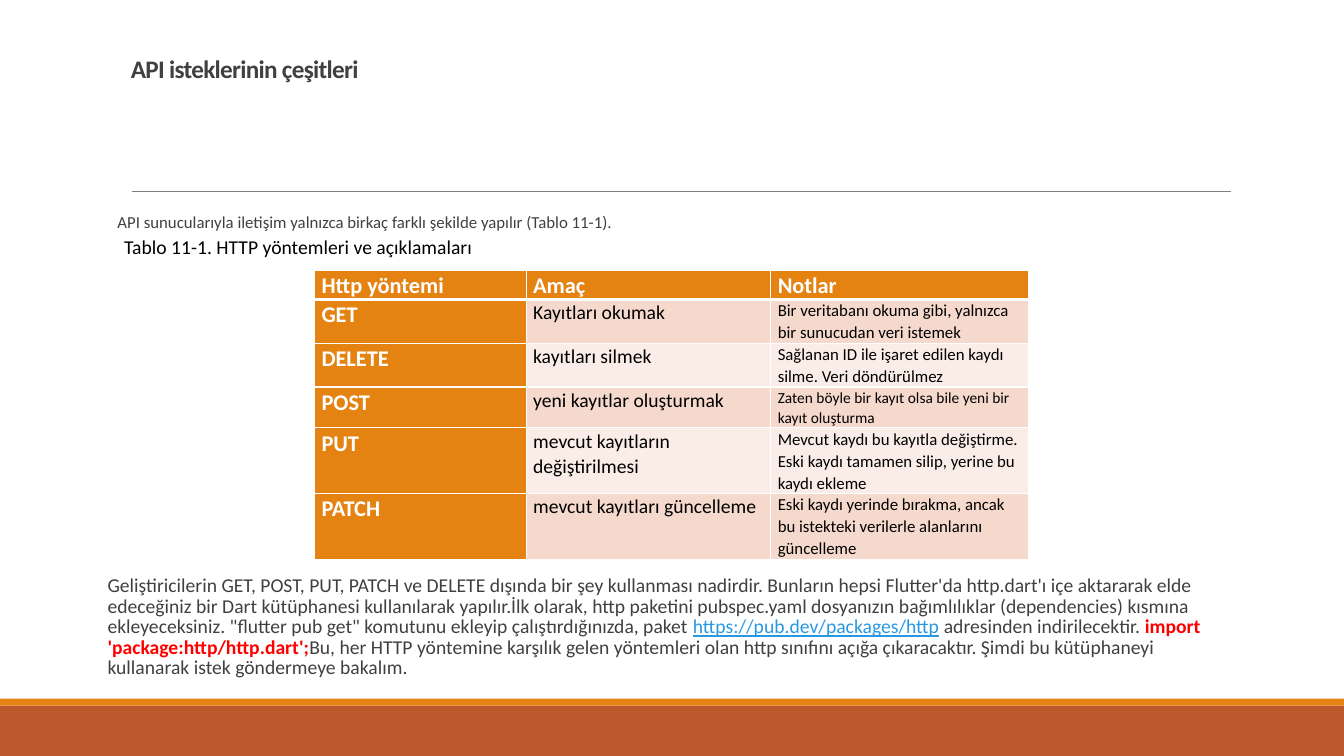
from lxml.etree import SubElement
from pptx import Presentation
from pptx.dml.color import RGBColor
from pptx.enum.shapes import MSO_CONNECTOR, MSO_SHAPE
from pptx.oxml.ns import qn
from pptx.util import Emu, Inches, Pt

ORANGE, RUST, GREY, WHITE, BLACK = "E48312", "BD582C", "404040", "FFFFFF", "000000"
BANDS = ("F5D9CC", "FAEDE7")

HEADINGS = ("Http yöntemi", "Amaç", "Notlar")
METHODS = (
    ("GET", "Kayıtları okumak",
     "Bir veritabanı okuma gibi, yalnızca bir sunucudan veri istemek"),
    ("DELETE", "kayıtları silmek",
     "Sağlanan ID ile işaret edilen kaydı silme. Veri döndürülmez"),
    ("POST", "yeni kayıtlar oluşturmak",
     "Zaten böyle bir kayıt olsa bile yeni bir kayıt oluşturma"),
    ("PUT", "mevcut kayıtların değiştirilmesi",
     "Mevcut kaydı bu kayıtla değiştirme. Eski kaydı tamamen silip, yerine bu kaydı ekleme"),
    ("PATCH", "mevcut kayıtları güncelleme",
     "Eski kaydı yerinde bırakma, ancak bu istekteki verilerle alanlarını güncelleme"),
)
CLOSING = (
    ("Geliştiricilerin GET, POST, PUT, PATCH ve DELETE dışında bir şey kullanması nadirdir. "
     "Bunların hepsi Flutter'da http.dart'ı içe aktararak elde edeceğiniz bir Dart kütüphanesi "
     "kullanılarak yapılır.İlk olarak, http paketini pubspec.yaml dosyanızın bağımlılıklar "
     "(dependencies) kısmına ekleyeceksiniz. \"flutter pub get\" komutunu ekleyip "
     "çalıştırdığınızda, paket ", {}),
    ("https://pub.dev/packages/http", {"color": "2998E3", "underline": True}),
    (" adresinden indirilecektir. ", {}),
    ("import 'package:http/http.dart';", {"color": "FF0000", "bold": True}),
    ("Bu, her HTTP yöntemine karşılık gelen yöntemleri olan http sınıfını açığa çıkaracaktır. "
     "Şimdi bu kütüphaneyi kullanarak istek göndermeye bakalım.", {}),
)


def rgb(value):
    return RGBColor.from_string(value)


class Page:
    """One slide on a grid of 100 columns by 100 rows."""
    font = "Calibri"

    def __init__(self, deck):
        self.slide = deck.slides.add_slide(deck.slide_layouts[6])
        self.shapes = self.slide.shapes
        self.column, self.row = deck.slide_width / 100, deck.slide_height / 100

    def x(self, columns):
        return Emu(round(columns * self.column))

    def y(self, rows):
        return Emu(round(rows * self.row))

    def place(self, left, top, width, height):
        return self.x(left), self.y(top), self.x(width), self.y(height)

    def style(self, run, size, color=GREY, bold=False, underline=None):
        run.font.name, run.font.size = self.font, Pt(size)
        run.font.bold, run.font.underline = bold, underline
        run.font.color.rgb = rgb(color)

    def band(self, top, height, color):
        bar = self.shapes.add_shape(MSO_SHAPE.RECTANGLE, *self.place(0, top, 100, height))
        bar.shadow.inherit = False
        bar.fill.solid()
        bar.fill.fore_color.rgb = rgb(color)
        bar.line.fill.background()

    def rule(self, left, right, at, color):
        line = self.shapes.add_connector(
            MSO_CONNECTOR.STRAIGHT, self.x(left), self.y(at), self.x(right), self.y(at))
        line.line.color.rgb, line.line.width = rgb(color), Pt(0.5)
        SubElement(line._element.spPr, qn("a:effectLst"))

    def text(self, area, pieces, size, spacing=1, inset=0.1, **look):
        """Write one paragraph from (text, run look) pieces."""
        frame = self.shapes.add_textbox(*self.place(*area)).text_frame
        frame.word_wrap = True
        frame.margin_left = frame.margin_right = Inches(inset)
        paragraph = frame.paragraphs[0]
        paragraph.line_spacing = spacing
        for words, own_look in pieces:
            run = paragraph.add_run()
            run.text = words
            self.style(run, size, **{**look, **own_look})
        return paragraph

    def cell(self, cell, words, fill, size, color, bold, edges):
        cell.margin_left = cell.margin_right = Inches(0.07)
        cell.margin_top = cell.margin_bottom = 0
        cell.fill.solid()
        cell.fill.fore_color.rgb = rgb(fill)
        properties = cell._tc.get_or_add_tcPr()
        for place, (side, points) in enumerate(edges.items()):
            edge = SubElement(properties, qn(f"a:ln{side}"), w=str(Pt(points)))
            SubElement(SubElement(edge, qn("a:solidFill")), qn("a:srgbClr"), val=WHITE)
            properties.insert(place, edge)
        paragraph = cell.text_frame.paragraphs[0]
        paragraph.text = words
        paragraph.line_spacing, paragraph.space_after = 1.07, Pt(8)
        self.style(paragraph.runs[0], size, color, bold)

    def table(self, left, top, widths, heights, rows, note_sizes):
        table = self.shapes.add_table(
            len(rows), len(widths),
            *self.place(left, top, sum(widths), sum(heights))).table
        for column, width in zip(table.columns, widths):
            column.width = self.x(width)
        for row, height in zip(table.rows, heights):
            row.height = self.y(height)
        for r, words_in_row in enumerate(rows):
            edges = {"L": 1, "R": 1, "T": 3 if r == 1 else 1, "B": 3 if r == 0 else 1}
            for c, words in enumerate(words_in_row):
                if r == 0 or c == 0:
                    look = (ORANGE, 16, WHITE, True)
                else:
                    size = 14 if c == 1 else note_sizes[r - 1]
                    look = (BANDS[(r - 1) % 2], size, BLACK, False)
                self.cell(table.cell(r, c), words, *look, edges)


def main():
    deck = Presentation()
    deck.slide_width, deck.slide_height = Inches(13.333), Inches(7.5)
    page = Page(deck)
    page.band(93.33, 6.67, RUST)
    page.band(92.4, 0.93, ORANGE)
    page.rule(9.8, 91.6, 25.3, "808080")
    title = page.text((9, 7.07, 82.5, 15.7), [("API isteklerinin çeşitleri", {})],
                      18, 0.85, bold=True)
    title.runs[0].font._element.set("spc", "-50")
    page.text((8, 27.7, 83, 4),
              [("API sunucularıyla iletişim yalnızca birkaç farklı şekilde yapılır "
                "(Tablo 11-1).", {})], 12, 0.87)
    page.table(23.4, 35.8, (15.75, 18.2, 19.2), (3.8, 5.8, 5.8, 5.4, 8.7, 8.7),
               (HEADINGS, *METHODS), (12, 12, 11, 12, 12))
    page.text((8, 75.6, 83, 15.3), CLOSING, 14, 0.87, inset=0)
    page.text((8.5, 30.4, 50, 4.5),
              [("Tablo 11-1. HTTP yöntemleri ve açıklamaları", {})], 14, color=BLACK)
    deck.save("out.pptx")


if __name__ == "__main__":
    main()
